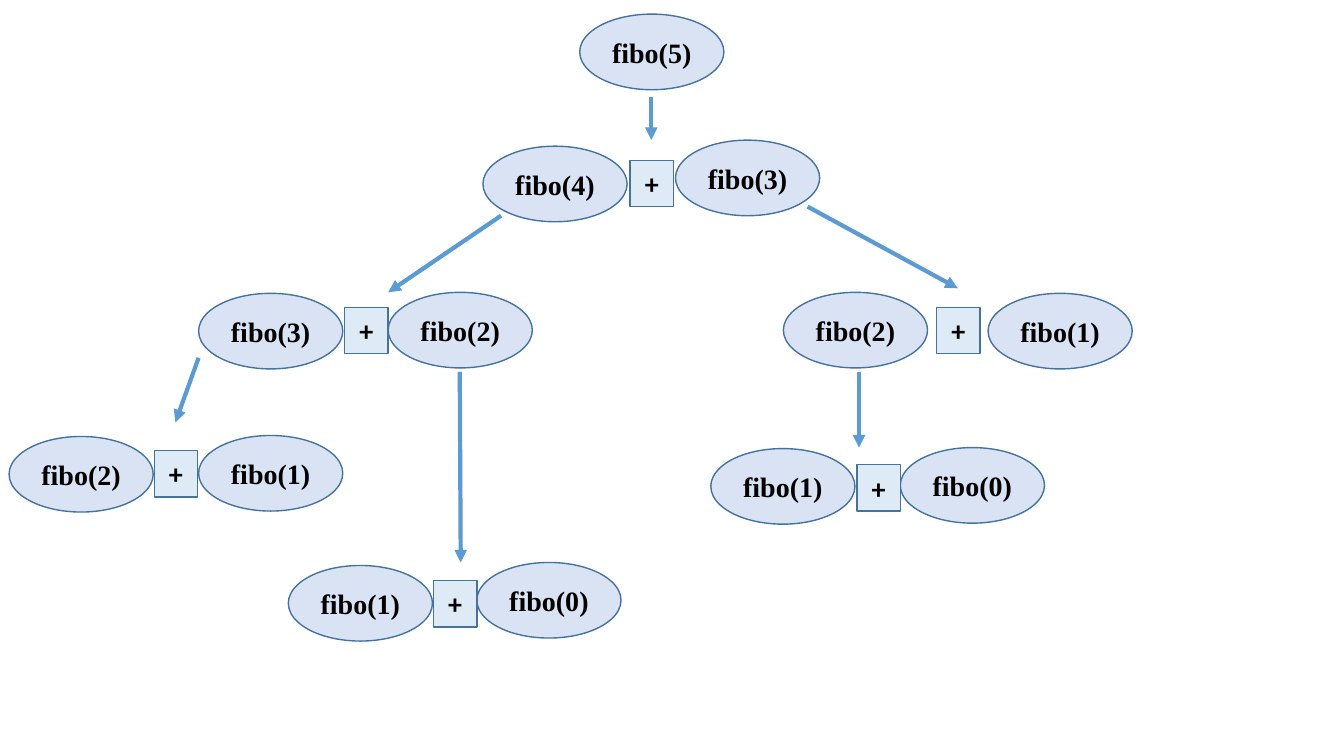
"""Draw the call tree of the recursive function fibo(5)."""
from dataclasses import dataclass

from lxml import etree
from pptx import Presentation
from pptx import util as u
from pptx.dml.color import RGBColor
from pptx.enum import shapes, text
from pptx.oxml.ns import qn

PX = 9144
CALL_W, CALL_H = 143, 75
PLUS_W, PLUS_H = 43, 46


@dataclass(frozen=True)
class Theme:
    call_fill: RGBColor = RGBColor(0xDA, 0xE3, 0xF3)
    plus_fill: RGBColor = RGBColor(0xDE, 0xEB, 0xF7)
    outline: RGBColor = RGBColor(0x43, 0x73, 0x9E)
    arrow: RGBColor = RGBColor(0x5B, 0x9B, 0xD5)
    ink: RGBColor = RGBColor(0, 0, 0)
    call_font: str = "Times New Roman"
    plus_font: str = "Calibri"
    size: u.Pt = u.Pt(20)
    outline_width: u.Pt = u.Pt(1)
    arrow_width: u.Pt = u.Pt(3)


@dataclass(frozen=True)
class Call:
    n: int
    x: int
    y: int


@dataclass(frozen=True)
class Sum:
    left: Call
    plus: tuple[int, int]
    right: Call


@dataclass(frozen=True)
class Arrow:
    x1: int
    y1: int
    x2: int
    y2: int


THEME = Theme()
ROOT = Call(5, 575, 14)
SUMS = [
    Sum(Call(4, 479, 145), (625, 159), Call(3, 670, 139)),
    Sum(Call(3, 197, 291), (342, 305), Call(2, 385, 290)),
    Sum(Call(2, 777, 290), (929, 305), Call(1, 980, 291)),
    Sum(Call(2, 9, 433), (153, 447), Call(1, 197, 432)),
    Sum(Call(1, 286, 561), (430, 576), Call(0, 473, 558)),
    Sum(Call(1, 705, 445), (850, 461), Call(0, 893, 444)),
]
ARROWS = [
    Arrow(646, 96, 646, 139),
    Arrow(497, 214, 385, 290),
    Arrow(801, 205, 950, 286),
    Arrow(197, 355, 174, 419),
    Arrow(456, 369, 457, 558),
    Arrow(852, 369, 852, 444),
]


def px(*lengths: int) -> list[int]:
    return [n * PX for n in lengths]


def add_box(s, kind, x: int, y: int, w: int, h: int, label: str, fill: RGBColor, font: str) -> None:
    sp = s.shapes.add_shape(kind, *px(x, y, w, h))
    sp.shadow.inherit = False
    sp.fill.solid()
    sp.fill.fore_color.rgb = fill
    sp.line.color.rgb = THEME.outline
    sp.line.width = THEME.outline_width
    tf = sp.text_frame
    tf.margin_left = tf.margin_right = 0
    tf.vertical_anchor = text.MSO_ANCHOR.MIDDLE
    p = tf.paragraphs[0]
    p.text = label
    p.alignment = text.PP_ALIGN.CENTER
    p.font.name = font
    p.font.size = THEME.size
    p.font.bold = True
    p.font.color.rgb = THEME.ink


def add_call(s, call: Call) -> None:
    add_box(s, shapes.MSO_SHAPE.OVAL, call.x, call.y, CALL_W, CALL_H,
            f"fibo({call.n})", THEME.call_fill, THEME.call_font)


def add_sum(s, pair: Sum) -> None:
    add_call(s, pair.left)
    add_call(s, pair.right)
    add_box(s, shapes.MSO_SHAPE.RECTANGLE, *pair.plus, PLUS_W, PLUS_H,
            "+", THEME.plus_fill, THEME.plus_font)


def add_arrow(s, arrow: Arrow) -> None:
    c = s.shapes.add_connector(shapes.MSO_CONNECTOR.STRAIGHT,
                               *px(arrow.x1, arrow.y1, arrow.x2, arrow.y2))
    c.line.color.rgb = THEME.arrow
    c.line.width = THEME.arrow_width
    props = c.element.spPr
    etree.SubElement(props.find(qn("a:ln")), qn("a:tailEnd"), type="triangle")
    etree.SubElement(props, qn("a:effectLst"))


def main() -> None:
    prs = Presentation()
    prs.slide_width, prs.slide_height = px(1333, 750)
    s = prs.slides.add_slide(prs.slide_layouts[6])
    add_call(s, ROOT)
    for pair in SUMS:
        add_sum(s, pair)
    for arrow in ARROWS:
        add_arrow(s, arrow)
    prs.save("out.pptx")


if __name__ == "__main__":
    main()
